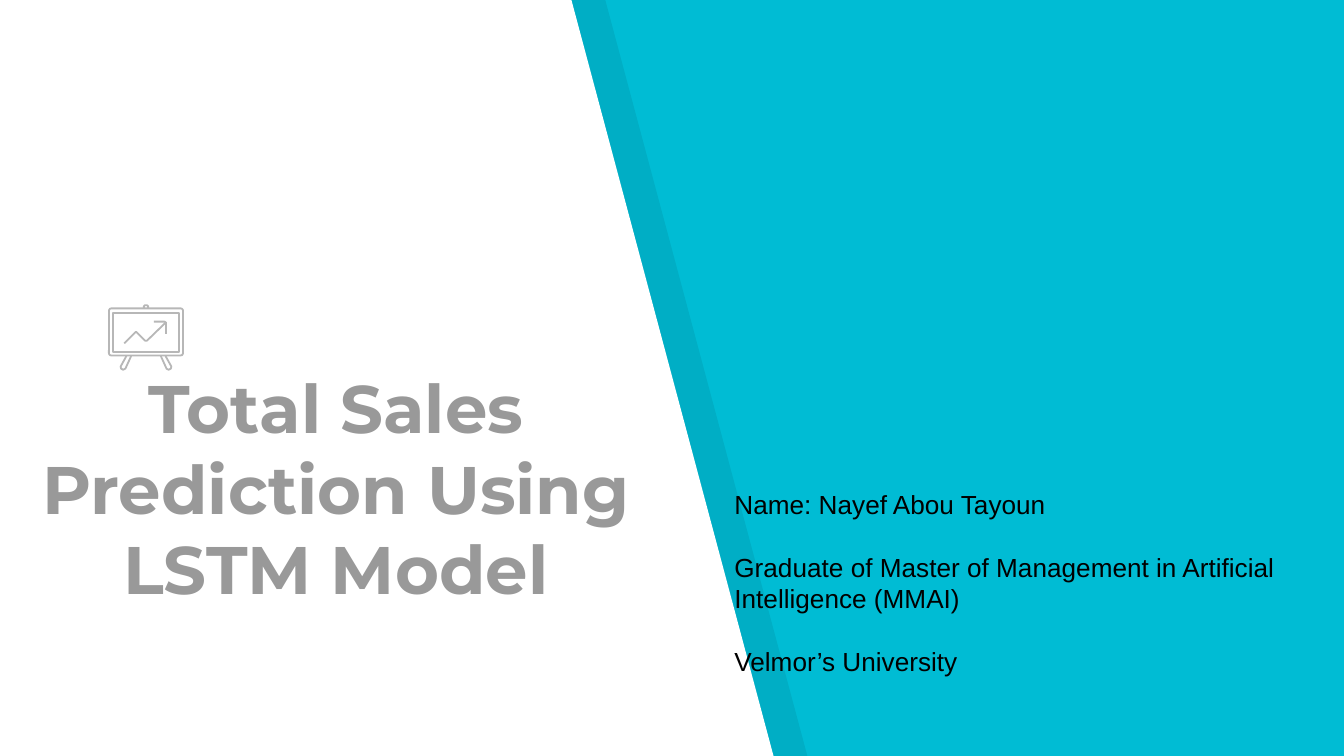
from dataclasses import dataclass

from lxml import etree
from pptx import Presentation
from pptx import util as u
from pptx.dml.color import RGBColor
from pptx.enum import shapes, text
from pptx.oxml.ns import qn


@dataclass(frozen=True)
class Theme:
    background: str = "00BCD4"
    panel: str = "FFFFFF"
    panel_shadow: str = "000000"
    title: str = "999999"
    body: str = "000000"
    icon: str = "B7B7B7"
    icon_line: float = 0.96
    title_font: str = "Montserrat"
    body_font: str = "Arial"
    title_size: int = 36
    body_size: int = 14


THEME = Theme()
BOARD_CENTRE = 2.76


def color(value):
    return RGBColor.from_string(value)


def style_shape(shape, fill=None, opacity=100, line=None):
    shape.shadow.inherit = False
    if fill:
        shape.fill.solid()
        shape.fill.fore_color.rgb = color(fill)
        if opacity < 100:
            fill_color = shape.fill._xPr.find(qn("a:solidFill"))[0]
            alpha = etree.SubElement(fill_color, qn("a:alpha"))
            alpha.set("val", str(opacity * 1000))
    else:
        shape.fill.background()
    if line:
        shape.line.color.rgb = color(line)
        shape.line.width = u.Pt(THEME.icon_line)
    else:
        shape.line.fill.background()


def add_outline(slide, points, close=False, **style):
    """Draw a polygon or an open line through points given in centimetres."""
    start, *rest = [(u.Cm(x), u.Cm(y)) for x, y in points]
    builder = slide.shapes.build_freeform(*start)
    builder.add_line_segments(rest, close=close)
    style_shape(builder.convert_to_shape(), **style)


def add_text(slide, box, paragraphs, *, font, size, rgb, bold=False,
             align=text.PP_ALIGN.LEFT, anchor=text.MSO_ANCHOR.TOP,
             fit=text.MSO_AUTO_SIZE.NONE, inset=(0.25, 0.13), gap=0):
    shape = slide.shapes.add_textbox(*map(u.Cm, box))
    frame = shape.text_frame
    frame.word_wrap = True
    frame.auto_size = fit
    frame.vertical_anchor = anchor
    frame.margin_left = frame.margin_right = u.Cm(inset[0])
    frame.margin_top = frame.margin_bottom = u.Cm(inset[1])
    for index, content in enumerate(paragraphs):
        paragraph = frame.add_paragraph() if index else frame.paragraphs[0]
        paragraph.alignment = align
        if index:
            paragraph.space_before = u.Pt(gap)
        run = paragraph.add_run()
        run.text = content
        run.font.name = font
        run.font.size = u.Pt(size)
        run.font.bold = bold
        run.font.color.rgb = color(rgb)


def add_slanted_panel(slide, offset, **style):
    corners = [(0, -0.03), (-0.03, 14.33), (14.63, 14.33), (10.8, 0)]
    add_outline(slide, [(x + offset, y) for x, y in corners], close=True, **style)


def add_board(slide, preset, box):
    shape = slide.shapes.add_shape(preset, *map(u.Cm, box))
    style_shape(shape, line=THEME.icon)
    return shape


def add_chart_icon(slide):
    """Draw a presentation board on two legs with a rising arrow."""
    frame = add_board(slide, shapes.MSO_SHAPE.ROUNDED_RECTANGLE,
                      (2.06, 5.83, 1.4, 0.89))
    frame.adjustments[0] = 0.05
    left_leg = [(2.39, 6.73), (2.28, 6.93), (2.29, 6.97),
                (2.33, 6.99), (2.37, 6.97), (2.48, 6.73)]
    right_leg = [(2 * BOARD_CENTRE - x, y) for x, y in left_leg]
    knob = [(2.8, 5.83), (2.8, 5.79), (2.78, 5.77),
            (2.74, 5.77), (2.72, 5.79), (2.72, 5.83)]
    trend = [(3.13, 6.1), (2.78, 6.44), (2.74, 6.44), (2.57, 6.27), (2.35, 6.49)]
    arrowhead = [(2.91, 6.08), (3.11, 6.08), (3.14, 6.1), (3.14, 6.31)]
    for points in (knob, left_leg, right_leg):
        add_outline(slide, points, line=THEME.icon)
    add_board(slide, shapes.MSO_SHAPE.RECTANGLE, (2.13, 5.92, 1.25, 0.73))
    for points in (trend, arrowhead):
        add_outline(slide, points, line=THEME.icon)


def main():
    presentation = Presentation()
    presentation.slide_width = u.Cm(25.4)
    presentation.slide_height = u.Cm(14.29)
    slide = presentation.slides.add_slide(presentation.slide_layouts[6])
    slide.background.fill.solid()
    slide.background.fill.fore_color.rgb = color(THEME.background)

    add_slanted_panel(slide, 0.64, fill=THEME.panel_shadow, opacity=7)
    add_slanted_panel(slide, 0, fill=THEME.panel)
    add_text(slide, (-0.15, 8.75, 13, 3), ["Total Sales Prediction Using LSTM Model"],
             font=THEME.title_font, size=THEME.title_size, rgb=THEME.title,
             bold=True, align=text.PP_ALIGN.CENTER,
             anchor=text.MSO_ANCHOR.BOTTOM, inset=(0.25, 0.25))
    add_chart_icon(slide)
    add_text(slide, (13.63, 9.1, 11.76, 3.84),
             ["Name: Nayef Abou Tayoun",
              "Graduate of Master of Management in Artificial Intelligence (MMAI)",
              "Velmor’s University"],
             font=THEME.body_font, size=THEME.body_size, rgb=THEME.body,
             fit=text.MSO_AUTO_SIZE.SHAPE_TO_FIT_TEXT, gap=17)
    presentation.save("out.pptx")


if __name__ == "__main__":
    main()
